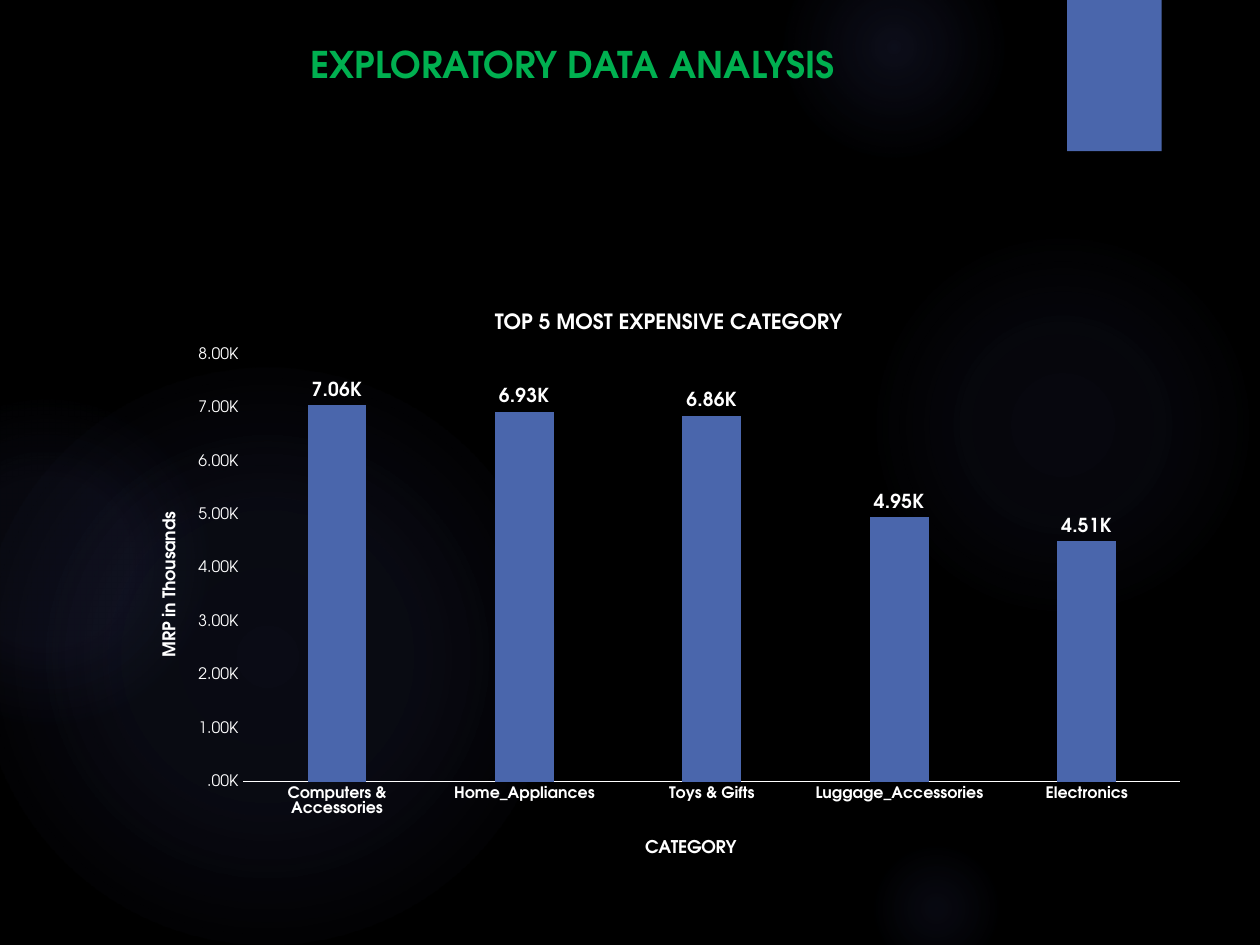
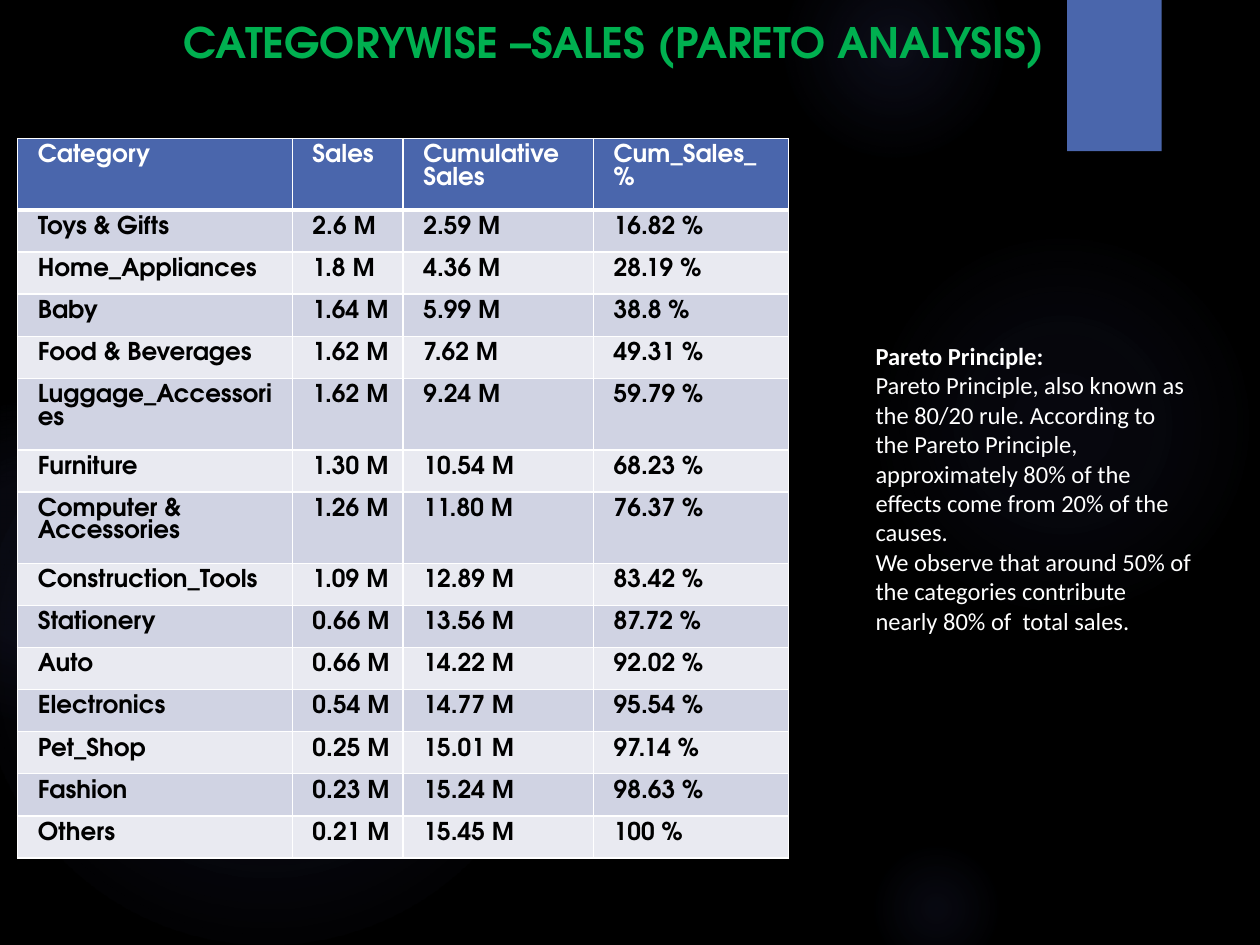
from lxml import etree
from pptx import Presentation
from pptx import util as u
from pptx.chart import data as chart_data
from pptx.dml import color as dml
from pptx.enum import chart as charts, shapes, text
from pptx.oxml import ns

GREEN, BLUE, GLOW, WHITE, BLACK = "00B050", "4A66AC", "5C64B7", "FFFFFF", "000000"
BANDS = ("D0D3E3", "E9EAF1")
HEADING, BODY = "TeX Gyre Adventor", "Calibri"
COLUMNS, ROWS = 100, 75
THOUSANDS = '#.00,"K";\\-#.00,"K"'
GLOWS = [
    ((68.9, 18.3, 30.8), [(0, 7), (36, 6), (69, 0)]),
    ((62.2, -5, 17.5), [(0, 14), (36, 7), (73, 0)]),
    ((68.9, 66.7, 10.8), [(0, 9), (36, 5), (66, 0)]),
    ((-1.7, 29.2, 45.8), [(0, 11), (36, 10), (75, 0)]),
    ((-9.2, 31.7, 25.8), [(0, 8), (36, 8), (72, 0)]),
]
PRICES = {
    "Computers & Accessories": 7060,
    "Home_Appliances": 6930,
    "Toys & Gifts": 6860,
    "Luggage_Accessories": 4950,
    "Electronics": 4510,
}
SALES = [
    ("Category", "Sales", "Cumulative Sales", "Cum_Sales_%"),
    ("Toys & Gifts", "2.6 M", "2.59 M", "16.82 %"),
    ("Home_Appliances", "1.8 M", "4.36 M", "28.19 %"),
    ("Baby", "1.64 M", "5.99 M", "38.8 %"),
    ("Food & Beverages", "1.62 M", "7.62 M", "49.31 %"),
    ("Luggage_Accessories", "1.62 M", "9.24 M", "59.79 %"),
    ("Furniture", "1.30 M", "10.54 M", "68.23 %"),
    ("Computer & Accessories", "1.26 M", "11.80 M", "76.37 %"),
    ("Construction_Tools", "1.09 M", "12.89 M", "83.42 %"),
    ("Stationery", "0.66 M", "13.56 M", "87.72 %"),
    ("Auto", "0.66 M", "14.22 M", "92.02 %"),
    ("Electronics", "0.54 M", "14.77 M", "95.54 %"),
    ("Pet_Shop", "0.25 M", "15.01 M", "97.14 %"),
    ("Fashion", "0.23 M", "15.24 M", "98.63 %"),
    ("Others", "0.21 M", "15.45 M", "100 %"),
]
PARETO = [
    "Pareto Principle:",
    "Pareto Principle, also known as the 80/20 rule. According to the Pareto Principle, "
    "approximately 80% of the effects come from 20% of the causes.",
    "We observe that around 50% of the categories contribute nearly 80% of  total sales.",
]


def rgb(value):
    return dml.RGBColor.from_string(value)


def paint(fill, value):
    fill.solid()
    fill.fore_color.rgb = rgb(value)


def style(font, size, value=WHITE, bold=False, name=HEADING):
    font.size, font.bold, font.name = u.Pt(size), bold, name
    font.color.rgb = rgb(value)


def add_xml(parent, tag, **attributes):
    return etree.SubElement(parent, ns.qn(tag), attributes)


class Report:
    """Holds the deck, its shared look and the page being drawn."""

    def __init__(self):
        self.deck = Presentation()
        self.deck.slide_width, self.deck.slide_height = u.Inches(10), u.Inches(7.5)
        self.page = None

    def across(self, columns):
        return round(self.deck.slide_width * columns / COLUMNS)

    def down(self, rows):
        return round(self.deck.slide_height * rows / ROWS)

    def area(self, left, top, width, height):
        return self.across(left), self.down(top), self.across(width), self.down(height)

    def new_page(self):
        self.page = self.deck.slides.add_slide(self.deck.slide_layouts[6])
        paint(self.page.background.fill, BLACK)
        for (left, top, size), stops in GLOWS:
            self.glow((left, top, size, size), stops)
        paint(self.shape(shapes.MSO_SHAPE.RECTANGLE, (84.7, 0, 7.5, 12)).fill, BLUE)

    def shape(self, kind, place):
        item = self.page.shapes.add_shape(kind, *self.area(*place))
        item.shadow.inherit = False
        item.line.fill.background()
        return item

    def glow(self, place, stops):
        properties = self.shape(shapes.MSO_SHAPE.OVAL, place).element.spPr
        gradient = etree.Element(ns.qn("a:gradFill"), rotWithShape="1")
        stop_list = add_xml(gradient, "a:gsLst")
        for position, opacity in stops:
            stop = add_xml(stop_list, "a:gs", pos=str(position * 1000))
            tint = add_xml(stop, "a:srgbClr", val=GLOW)
            add_xml(tint, "a:alpha", val=str(opacity * 1000))
        circle = add_xml(gradient, "a:path", path="circle")
        add_xml(circle, "a:fillToRect", l="50000", t="50000", r="50000", b="50000")
        properties.find(ns.qn("a:prstGeom")).addnext(gradient)

    def text_box(self, place, lines, anchor=text.MSO_ANCHOR.BOTTOM):
        box = self.page.shapes.add_textbox(*self.area(*place))
        box.text_frame.word_wrap = True
        box.text_frame.vertical_anchor = anchor
        box.text_frame.text = "\n".join(lines)
        return box.text_frame.paragraphs

    def title(self, place, words, size, align, anchor):
        para = self.text_box(place, [words], anchor)[0]
        para.alignment = align
        style(para.runs[0].font, size, GREEN, True)

    def explanation(self, place, lines):
        for index, para in enumerate(self.text_box(place, lines)):
            style(para.runs[0].font, 14, bold=index == 0, name=BODY)

    def layout(self, parent, **shares):
        holder = parent.find(ns.qn("c:layout"))
        if holder is None:
            holder = etree.Element(ns.qn("c:layout"))
            before = parent.find(ns.qn("c:tx"))
            if before is None:
                parent.insert(0, holder)
            else:
                before.addnext(holder)
        manual = add_xml(holder, "c:manualLayout")
        if "w" in shares:
            add_xml(manual, "c:layoutTarget", val="inner")
        for side in "xy":
            add_xml(manual, f"c:{side}Mode", val="edge")
        for key, share in shares.items():
            add_xml(manual, f"c:{key}", val=str(share))

    def chart_title(self, holder, words, size, x, y):
        para = holder.text_frame.paragraphs[0]
        para.text = words
        style(para.runs[0].font, size, bold=True)
        self.layout(holder._element, x=x, y=y)

    def column_chart(self, place, heading, values, category_name, value_name):
        source = chart_data.CategoryChartData()
        source.categories = list(values)
        source.add_series("Series 1", list(values.values()))
        kind = charts.XL_CHART_TYPE.COLUMN_CLUSTERED
        chart = self.page.shapes.add_chart(kind, *self.area(*place), source).chart
        chart.has_legend = False
        style(chart.font, 10)
        chart.has_title = True
        self.chart_title(chart.chart_title, heading, 12, 0.34, 0.04)
        across, up = chart.category_axis, chart.value_axis
        for axis in (across, up):
            axis.major_tick_mark = axis.minor_tick_mark = charts.XL_TICK_MARK.NONE
            axis.has_major_gridlines = False
            style(axis.tick_labels.font, 9, bold=axis is across)
        paint(across.format.line.fill, WHITE)
        across.format.line.width = u.Pt(0.75)
        up.format.line.fill.background()
        up.minimum_scale, up.maximum_scale, up.major_unit = 0, 8000, 1000
        self.chart_title(across.axis_title, category_name, 10, 0.48, 0.93)
        self.chart_title(up.axis_title, value_name, 10, 0.03, 0.38)
        direction = up.axis_title.text_frame._txBody.bodyPr
        direction.set("rot", "-5400000")
        direction.set("vert", "horz")
        plot = chart.plots[0]
        plot.gap_width, plot.overlap, plot.vary_by_categories = 219, -27, False
        paint(plot.series[0].format.fill, BLUE)
        plot.has_data_labels = True
        labels = plot.data_labels
        labels.show_value = True
        labels.position = charts.XL_LABEL_POSITION.OUTSIDE_END
        style(labels.font, 11, bold=True)
        for numbers in (labels, up.tick_labels):
            numbers.number_format, numbers.number_format_is_linked = THOUSANDS, False
        self.layout(chart._chartSpace.chart.plotArea, x=0.11, y=0.12, w=0.87, h=0.72)

    def borders(self, cell, top, bottom):
        properties = cell._tc.get_or_add_tcPr()
        for side, width in zip("LRTB", (1, 1, top, bottom)):
            line = add_xml(properties, f"a:ln{side}", w=str(u.Pt(width)))
            add_xml(add_xml(line, "a:solidFill"), "a:srgbClr", val=WHITE)

    def table(self, place, records, widths, row_height):
        left, top, width, height = self.area(*place)
        frame = self.page.shapes.add_table(
            len(records), len(widths), left, top, width, height)
        table = frame.table
        for column, share in zip(table.columns, widths):
            column.width = self.across(share)
        for index, record in enumerate(records):
            table.rows[index].height = self.down(row_height)
            header = index == 0
            for column, words in enumerate(record):
                cell = table.cell(index, column)
                self.borders(cell, 3 if index == 1 else 1, 3 if header else 1)
                paint(cell.fill, BLUE if header else BANDS[(index - 1) % 2])
                cell.margin_left = self.across(1.6)
                cell.text_frame.text = words
                span = cell.text_frame.paragraphs[0].runs[0]
                style(span.font, 14, WHITE if header else BLACK, True)
        frame.height = height


def main():
    report = Report()
    report.new_page()
    report.title((2.7, 2.8, 85.5, 4.5), "EXPLORATORY DATA ANALYSIS", 21,
                 text.PP_ALIGN.CENTER, text.MSO_ANCHOR.MIDDLE)
    report.column_chart((9.9, 22.5, 85.5, 47.1), "TOP 5 MOST EXPENSIVE CATEGORY",
                        PRICES, "CATEGORY", "MRP in Thousands")
    report.new_page()
    report.title((13.6, -2.3, 85.5, 8.1), "CATEGORYWISE –SALES (PARETO ANALYSIS)", 24,
                 text.PP_ALIGN.LEFT, text.MSO_ANCHOR.BOTTOM)
    report.table((1.4, 11, 61.2, 59.3), SALES, (21.8, 8.8, 15.1, 15.5), 2.6)
    report.explanation((68.5, 24, 27.2, 26.9), PARETO)
    report.deck.save("out.pptx")


if __name__ == "__main__":
    main()
